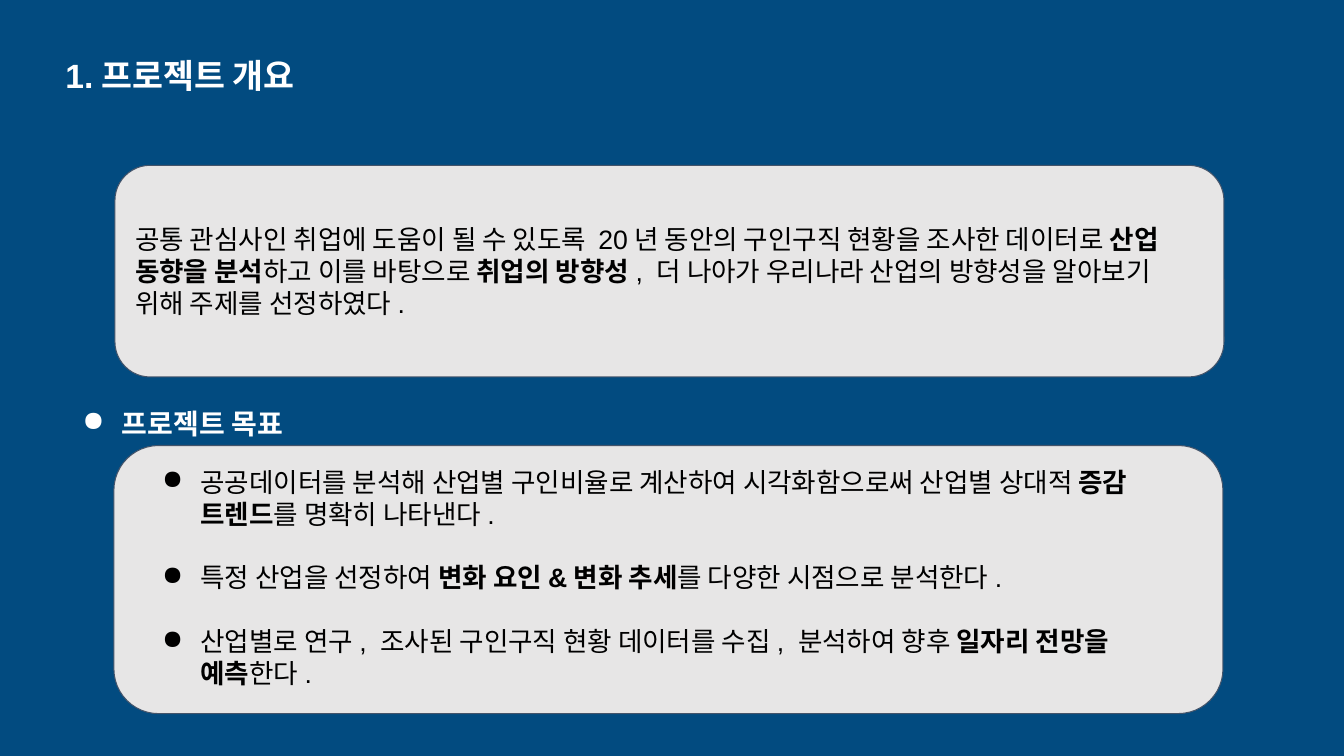
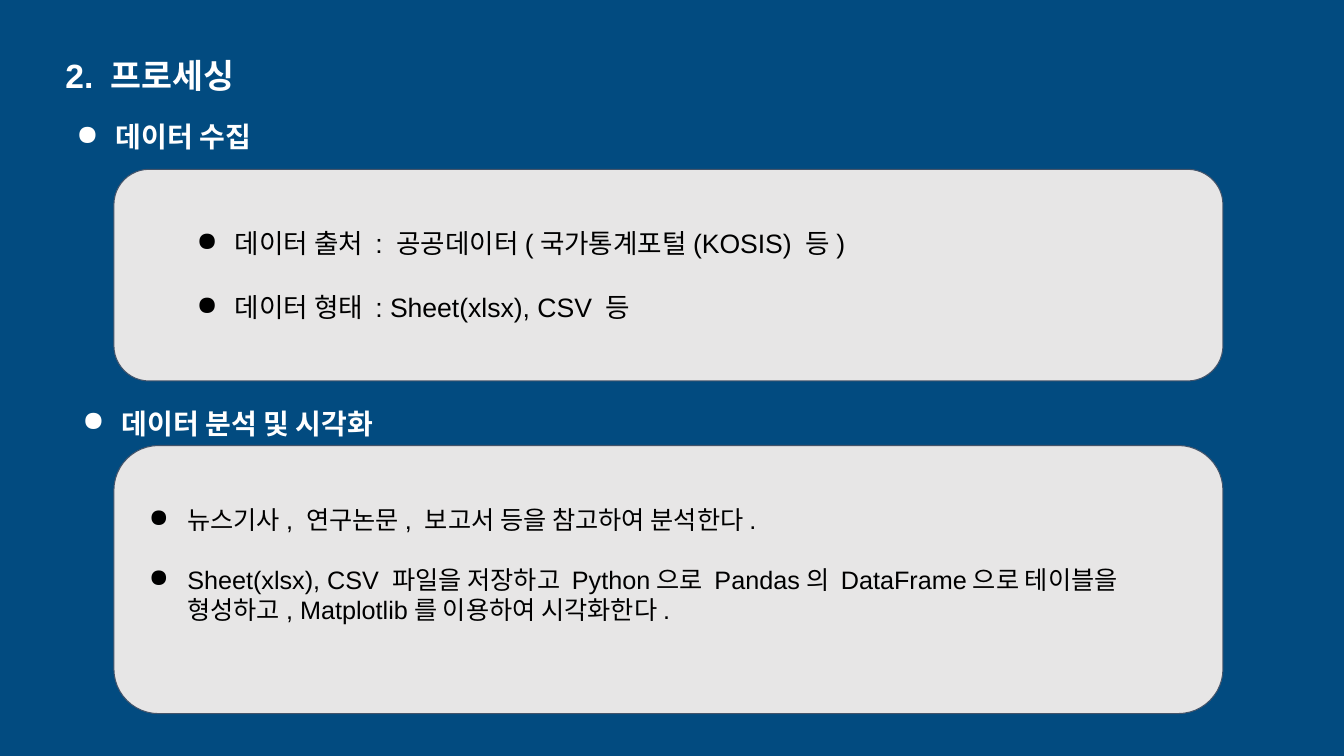
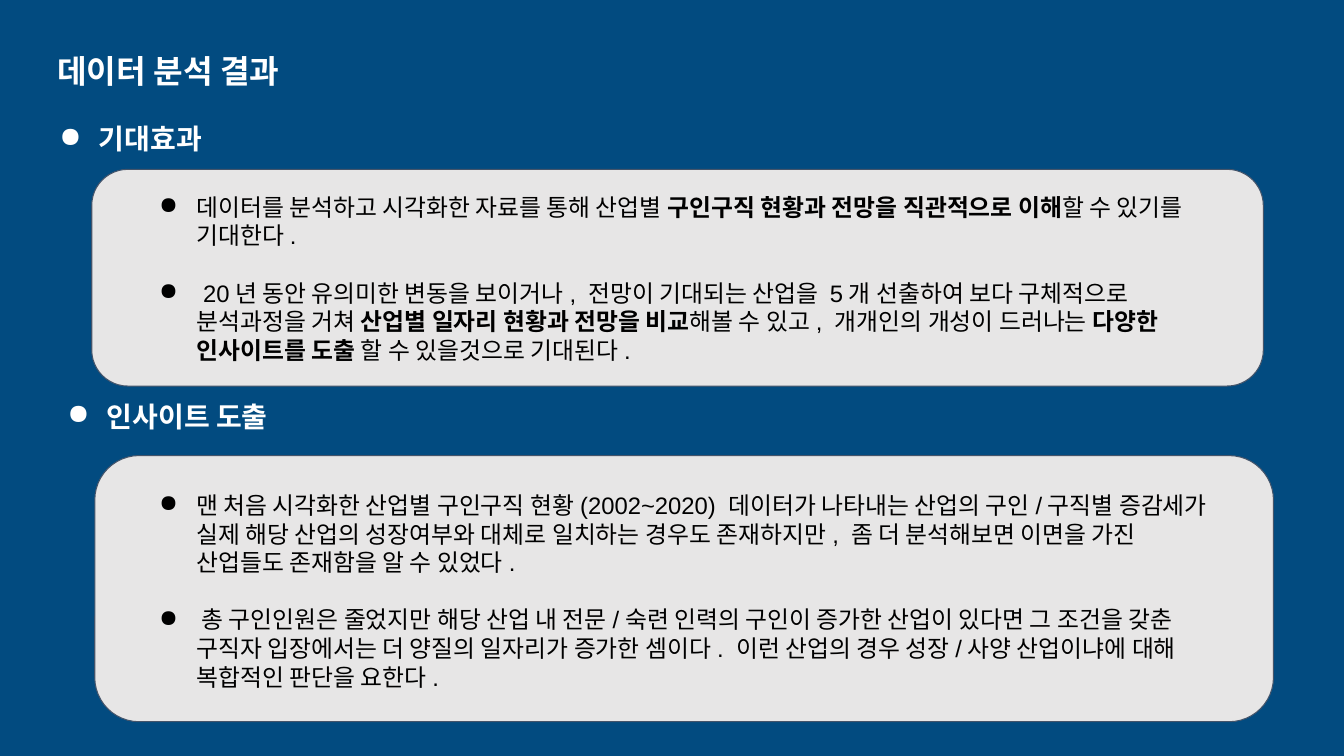
from lxml.etree import SubElement
from pptx import Presentation
from pptx.dml.color import RGBColor
from pptx.enum.shapes import MSO_SHAPE as Preset
from pptx.enum.text import MSO_ANCHOR as Anchor, PP_ALIGN as Align
from pptx.oxml.ns import qn
from pptx.util import Inches, Pt

NAVY, GREY, SLATE, WHITE, BLACK = "024B80", "E7E6E6", "44546A", "FFFFFF", "000000"
FONT = "Arial"
HEADING_SIZE = 20
GAP_RATIO = 1.2

SLIDES = [
    {
        "title": ("1.프로젝트 개요", 24, (0.55, 0.44, 5.49, 0.61)),
        "headings": [("프로젝트 목표", (0.61, 3.98, 3.17, 0.44))],
        "panels": [
            {"at": (1.14, 1.64, 11, 2.1), "size": 19, "text": [
                "공통 관심사인 취업에 도움이 될 수 있도록 20년 동안의 구인구직 현황을 조사한 데이터로 "
                "**산업 동향을 분석**하고 이를 바탕으로 **취업의 방향성**, 더 나아가 우리나라 산업의 "
                "방향성을 알아보기 위해 주제를 선정하였다."]},
            {"at": (1.13, 4.42, 11, 2.66), "text_at": (1.39, 4.52, 10.47, 2.5),
             "size": 19, "bullet": (0.5, 0.38), "text": [
                "공공데이터를 분석해 산업별 구인비율로 계산하여 시각화함으로써 산업별 상대적 "
                "**증감 트렌드**를 명확히 나타낸다.",
                "특정 산업을 선정하여 **변화 요인&변화 추세**를 다양한 시점으로 분석한다.",
                "산업별로 연구, 조사된 구인구직 현황 데이터를 수집, 분석하여 향후 "
                "**일자리 전망을 예측**한다."]},
        ],
    },
    {
        "title": ("2. 프로세싱", 24, (0.55, 0.44, 5.49, 0.61)),
        "headings": [("데이터 수집", (0.55, 1.14, 4.03, 0.44)),
                     ("데이터 분석 및 시각화", (0.61, 3.98, 4.1, 0.44))],
        "panels": [
            {"at": (1.13, 1.68, 11, 2.1), "size": 19, "bullet": (1, 0.38), "text": [
                "데이터 출처 : 공공데이터(국가통계포털(KOSIS) 등)",
                "데이터 형태 : Sheet(xlsx), CSV 등"]},
            {"at": (1.13, 4.42, 11, 2.66), "size": 18, "bullet": (0.5, 0.38),
             "bottom": 0.4, "text": [
                "뉴스기사, 연구논문, 보고서 등을 참고하여 분석한다.",
                "Sheet(xlsx), CSV 파일을 저장하고 Python으로 Pandas의 DataFrame으로 테이블을 "
                "형성하고, Matplotlib를 이용하여 시각화한다."]},
        ],
    },
    {
        "title": ("데이터 분석 결과", 23, (0.47, 0.41, 5.49, 0.59)),
        "headings": [("기대효과", (0.38, 1.16, 4.19, 0.44)),
                     ("인사이트 도출", (0.46, 3.91, 4.03, 0.44))],
        "panels": [
            {"at": (0.91, 1.68, 11.62, 2.15), "text_at": (1.35, 1.81, 10.73, 1.92),
             "size": 17, "bullet": (0.5, 0.37), "text": [
                "데이터를 분석하고 시각화한 자료를 통해 산업별 "
                "**구인구직 현황과 전망을 직관적으로 이해**할 수 있기를 기대한다.",
                " 20년 동안 유의미한 변동을 보이거나, 전망이 기대되는 산업을 5개 선출하여 보다 "
                "구체적으로 분석과정을 거쳐 **산업별 일자리 현황과 전망을 비교**해볼 수 있고, "
                "개개인의 개성이 드러나는 **다양한 인사이트를 도출** 할 수 있을것으로 기대된다."]},
            {"at": (0.94, 4.52, 11.69, 2.64), "text_at": (1.35, 4.77, 10.87, 2.44),
             "size": 17, "bullet": (0.5, 0.37), "text": [
                "맨 처음 시각화한 산업별 구인구직 현황(2002~2020) 데이터가 나타내는 산업의 "
                "구인/구직별 증감세가 실제 해당 산업의 성장여부와 대체로 일치하는 경우도 존재하지만, "
                "좀 더 분석해보면 이면을 가진 산업들도 존재함을 알 수 있었다.",
                " 총 구인인원은 줄었지만 해당 산업 내 전문/숙련 인력의 구인이 증가한 산업이 있다면 "
                "그 조건을 갖춘 구직자 입장에서는 더 양질의 일자리가 증가한 셈이다. 이런 산업의 경우 "
                "성장/사양 산업이냐에 대해 복합적인 판단을 요한다."]},
        ],
    },
]


def paint(target, color):
    target.solid()
    target.fore_color.rgb = RGBColor.from_string(color)


def add_bullet(para, margin, hanging, color):
    props = para._p.get_or_add_pPr()
    props.set("marL", str(Inches(margin)))
    props.set("indent", str(-Inches(hanging)))
    SubElement(SubElement(props, qn("a:buClr")), qn("a:srgbClr")).set("val", color)
    SubElement(props, qn("a:buChar")).set("char", "●")


def write(box, texts, size, color, bullet=None, bold=False,
          anchor=Anchor.TOP, top=0.1, bottom=0.1):
    frame = box.text_frame
    frame.word_wrap = True
    frame.vertical_anchor = anchor
    frame.margin_left = frame.margin_right = Inches(0.1)
    frame.margin_top, frame.margin_bottom = Inches(top), Inches(bottom)
    for index, text in enumerate(texts):
        para = frame.add_paragraph() if index else frame.paragraphs[0]
        if bullet:
            add_bullet(para, *bullet, color)
        para.alignment = Align.LEFT
        if index:
            para.space_before = Pt(size * GAP_RATIO)
        for part, piece in enumerate(text.split("**")):
            if piece:
                span = para.add_run()
                span.text = piece
                span.font.name, span.font.size = FONT, Pt(size)
                span.font.bold = bold or part % 2 == 1
                paint(span.font.fill, color)


def add_text_box(page, at):
    return page.shapes.add_textbox(*map(Inches, at))


def add_panel(page, panel):
    card = page.shapes.add_shape(Preset.ROUNDED_RECTANGLE, *map(Inches, panel["at"]))
    card.shadow.inherit = False
    paint(card.fill, GREY)
    paint(card.line.fill, SLATE)
    card.line.width = Pt(0.75)
    separate = "text_at" in panel
    box = add_text_box(page, panel["text_at"]) if separate else card
    write(box, panel["text"], panel["size"], BLACK, panel.get("bullet"),
          anchor=Anchor.TOP if separate else Anchor.MIDDLE,
          bottom=panel.get("bottom", 0.1))


def main():
    deck = Presentation()
    deck.slide_width, deck.slide_height = Inches(13.33), Inches(7.5)
    paint(deck.slide_master.background.fill, NAVY)
    for content in SLIDES:
        page = deck.slides.add_slide(deck.slide_layouts[6])
        title, size, at = content["title"]
        write(add_text_box(page, at), [title], size, WHITE, bold=True)
        for heading, at in content["headings"]:
            write(add_text_box(page, at), [heading], HEADING_SIZE, WHITE,
                  bullet=(0.5, 0.39), bold=True, top=0.05, bottom=0.05)
        for panel in content["panels"]:
            add_panel(page, panel)
    deck.save("out.pptx")


if __name__ == "__main__":
    main()
